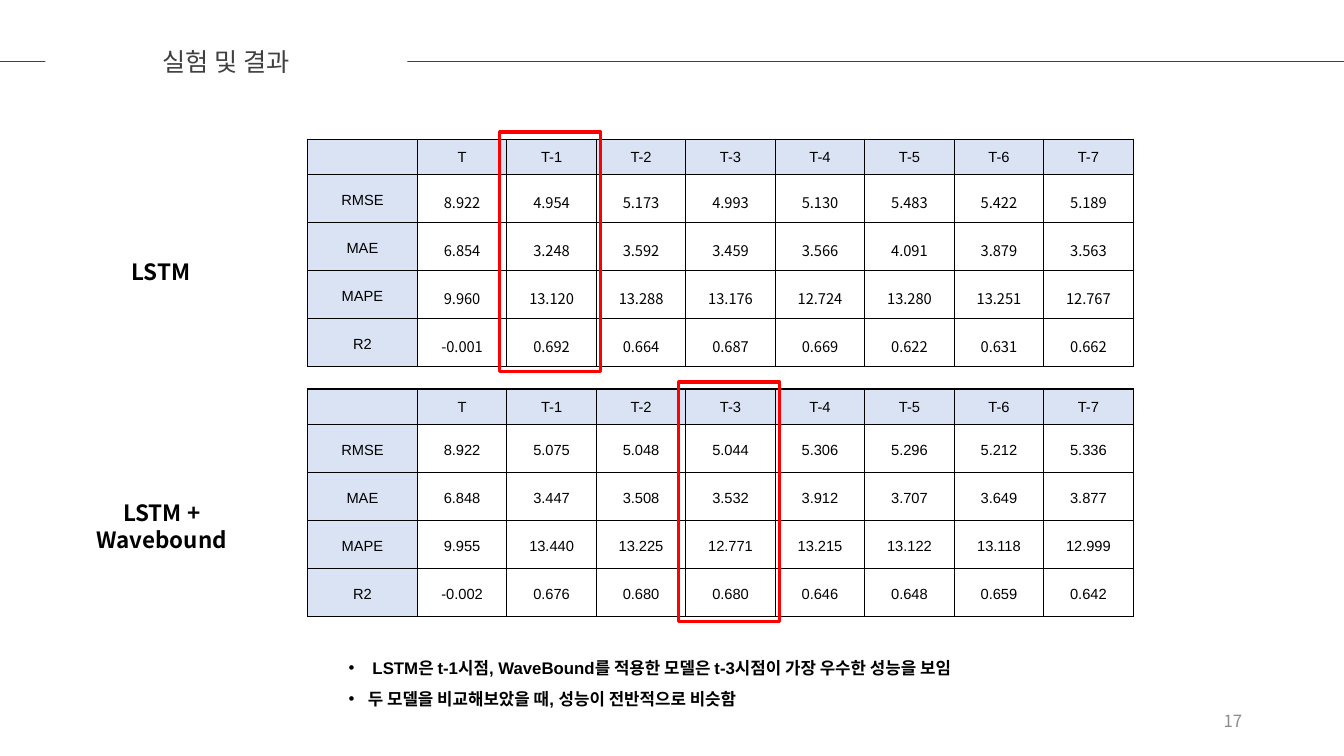
"""Build the slide comparing LSTM and LSTM + Wavebound results."""
from lxml.etree import SubElement
from pptx import Presentation
from pptx.dml.color import RGBColor
from pptx.enum.shapes import MSO_CONNECTOR as Link, MSO_SHAPE as Kind
from pptx.enum.text import MSO_ANCHOR as Anchor, MSO_AUTO_SIZE as Fit, PP_ALIGN as Align
from pptx.oxml.ns import qn
from pptx.util import Inches, Pt

NOTO = "Noto Sans CJK KR"
LEFT, HEAD, COL, ROW = 3.05, 1.09, 0.8875, 0.476


def color(code):
    return RGBColor.from_string(code)


def style(para, size, font, code="000000", bold=False, align=Align.CENTER):
    para.alignment = align
    for run in para.runs:
        run.font.size = Pt(size)
        run.font.name = font
        run.font.bold = bold
        run.font.color.rgb = color(code)


deck = Presentation()
deck.slide_width, deck.slide_height = Inches(13.33), Inches(7.5)
slide = deck.slides.add_slide(deck.slide_layouts[5])
shapes = slide.shapes

title = shapes.title
title.left, title.top = Inches(0.45), Inches(0.41)
title.width, title.height = Inches(3.59), Inches(0.4)
title.fill.solid()
title.fill.fore_color.rgb = color("FFFFFF")
title.text_frame.text = "실험 및 결과"
title.text_frame.auto_size = Fit.NONE
title.text_frame.vertical_anchor = Anchor.MIDDLE
style(title.text_frame.paragraphs[0], 18, NOTO, "404040")

rule = shapes.add_connector(Link.STRAIGHT, 0, Inches(0.61), Inches(13.33), Inches(0.61))
rule.line.color.rgb = color("034EAC")
rule.line.width = Pt(1.25)
SubElement(rule.element.spPr, qn("a:effectLst"))
title.element.addprevious(rule.element)

steps = ["", "T"] + [f"T-{n}" for n in range(1, 8)]
lstm = [
    ["RMSE", "8.922", "4.954", "5.173", "4.993", "5.130", "5.483", "5.422", "5.189"],
    ["MAE", "6.854", "3.248", "3.592", "3.459", "3.566", "4.091", "3.879", "3.563"],
    ["MAPE", "9.960", "13.120", "13.288", "13.176", "12.724", "13.280", "13.251", "12.767"],
    ["R2", "-0.001", "0.692", "0.664", "0.687", "0.669", "0.622", "0.631", "0.662"],
]
wave = [
    ["RMSE", "8.922", "5.075", "5.048", "5.044", "5.306", "5.296", "5.212", "5.336"],
    ["MAE", "6.848", "3.447", "3.508", "3.532", "3.912", "3.707", "3.649", "3.877"],
    ["MAPE", "9.955", "13.440", "13.225", "12.771", "13.215", "13.122", "13.118", "12.999"],
    ["R2", "-0.002", "0.676", "0.680", "0.680", "0.646", "0.648", "0.659", "0.642"],
]

for top, data, face in [(1.38, lstm, NOTO), (3.86, wave, "Arial")]:
    rows = [steps] + data
    grid = shapes.add_table(5, 9, Inches(LEFT), Inches(top), Inches(8.19), Inches(2.26)).table
    for c, col in enumerate(grid.columns):
        col.width = Inches(COL if c else HEAD)
    for r, row in enumerate(grid.rows):
        row.height = Inches(ROW if r else 0.355)
        for c, cell in enumerate(row.cells):
            label = r == 0 or c == 0
            font = "Arial" if label else face
            cell.text_frame.text = rows[r][c]
            cell.vertical_anchor = Anchor.MIDDLE
            cell.margin_left = cell.margin_right = Inches(0.1)
            cell.margin_top = Inches(0.13 if r else 0)
            cell.margin_bottom = Inches(0 if r == 0 else 0.1 if font == NOTO else 0.13)
            para = cell.text_frame.paragraphs[0]
            style(para, 10.5, font)
            if r:
                para.line_spacing = 1.15
            props = cell._tc.get_or_add_tcPr()
            for side in ("a:lnL", "a:lnR", "a:lnT", "a:lnB"):
                edge = SubElement(props, qn(side), w=str(Pt(1)))
                SubElement(SubElement(edge, qn("a:solidFill")), qn("a:srgbClr"), val="000000")
            if label:
                cell.fill.solid()
                cell.fill.fore_color.rgb = color("DAE3F3")
            else:
                cell.fill.background()

notes = shapes.add_textbox(Inches(2.86), Inches(6.38), Inches(7.61), Inches(0.67)).text_frame
notes.word_wrap = True
notes.text = (" LSTM은 t-1시점, WaveBound를 적용한 모델은 t-3시점이 가장 우수한 성능을 보임\n"
              "두 모델을 비교해보았을 때, 성능이 전반적으로 비슷함")
for para in notes.paragraphs:
    style(para, 12, "Arial", bold=True, align=Align.LEFT)
    para.level = 1
    para.line_spacing = 1.5
    props = para._p.get_or_add_pPr()
    props.set("marL", str(Inches(0.69)))
    props.set("indent", str(Inches(-0.19)))
    SubElement(props, qn("a:buFont"), typeface="Arial")
    SubElement(props, qn("a:buChar"), char="•")

labels = [
    ("LSTM", 0.97, 2.51, 1.25, 0.37, 16, "000000", True, Align.CENTER),
    ("LSTM + Wavebound", 0.84, 4.9, 1.53, 0.64, 16, "000000", True, Align.CENTER),
    ("17", 9.42, 6.95, 3, 0.4, 12, "8C8C8C", False, Align.RIGHT),
]
for text, x, y, w, h, size, code, bold, align in labels:
    frame = shapes.add_textbox(Inches(x), Inches(y), Inches(w), Inches(h)).text_frame
    frame.word_wrap = True
    frame.vertical_anchor = Anchor.MIDDLE
    frame.text = text
    style(frame.paragraphs[0], size, NOTO, code, bold, align)

for top, step in [(1.31, 1), (3.79, 3)]:
    mark = shapes.add_shape(Kind.RECTANGLE, Inches(LEFT + HEAD + COL * step - 0.07),
                            Inches(top), Inches(1), Inches(2.38))
    mark.shadow.inherit = False
    mark.fill.background()
    mark.line.color.rgb = color("FF0000")
    mark.line.width = Pt(2.25)

deck.save("out.pptx")
